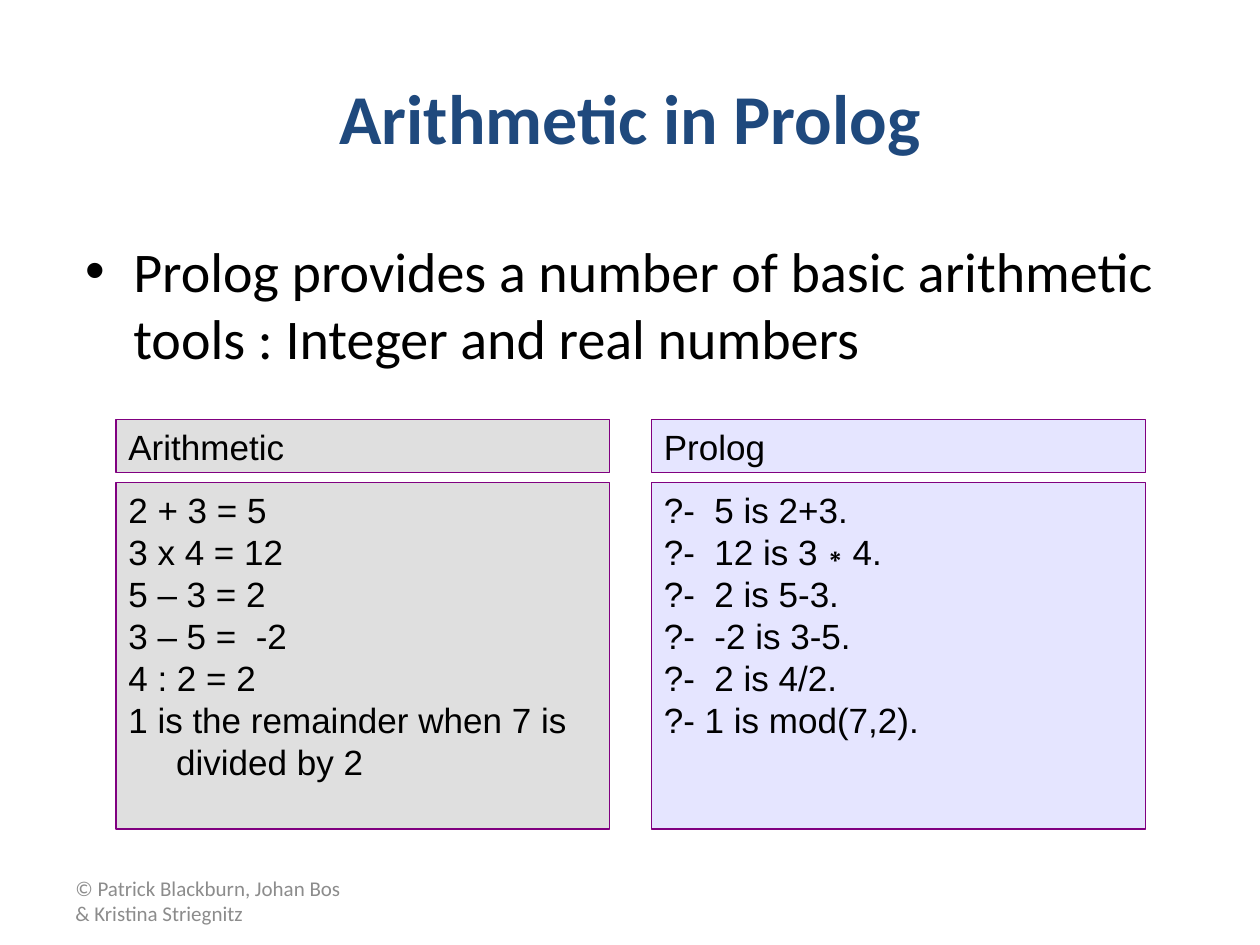
from pptx import Presentation
from pptx.dml.color import RGBColor
from pptx.enum.shapes import MSO_SHAPE as Shape
from pptx.enum.text import MSO_ANCHOR as Anchor, PP_ALIGN as Align
from pptx.oxml.ns import qn
from pptx.util import Inches, Pt
from lxml import etree

# Content
TITLE = "Arithmetic in Prolog"
BULLET = "Prolog provides a number of basic arithmetic tools : Integer and real numbers"
CREDIT = "© Patrick Blackburn, Johan Bos & Kristina Striegnitz"
COLUMNS = [
    ("Arithmetic", "C0C0C0", [
        "2 + 3 = 5",
        "3 x 4 = 12",
        "5 – 3 = 2",
        "3 – 5 =  -2",
        "4 : 2 = 2",
        "1 is the remainder when 7 is divided by 2",
    ]),
    ("Prolog", "CCCCFF", [
        "?-  5 is 2+3.",
        "?-  12 is 3∗4.",
        "?-  2 is 5-3.",
        "?-  -2 is 3-5.",
        "?-  2 is 4/2.",
        "?- 1 is mod(7,2).",
    ]),
]

# Layout in inches
COLUMN_LEFT, COLUMN_WIDTH, COLUMN_GAP = 0.92, 3.92, 0.33
HEADER_TOP, HEADER_HEIGHT = 3.33, 0.42
BODY_TOP, BODY_HEIGHT = 3.83, 2.75
INDENT = 0.38


def color(hex_string):
    return RGBColor.from_string(hex_string)


def add_run(paragraph, text, size, font, hex_string, bold=False):
    run = paragraph.add_run()
    run.text = text
    run.font.size = Pt(size)
    run.font.name = font
    run.font.bold = bold
    run.font.color.rgb = color(hex_string)


def hang(paragraph):
    properties = paragraph._p.get_or_add_pPr()
    properties.set("marL", str(Inches(INDENT)))
    properties.set("indent", str(Inches(-INDENT)))
    return properties


def add_text_box(slide, left, top, width, height, anchor):
    box = slide.shapes.add_textbox(Inches(left), Inches(top), Inches(width), Inches(height))
    box.text_frame.word_wrap = True
    box.text_frame.vertical_anchor = anchor
    return box.text_frame.paragraphs[0]


def add_panel(slide, left, top, height, fill, lines):
    panel = slide.shapes.add_shape(
        Shape.RECTANGLE, Inches(left), Inches(top), Inches(COLUMN_WIDTH), Inches(height))
    panel.shadow.inherit = False
    panel.fill.solid()
    panel.fill.fore_color.rgb = color(fill)
    fill_color = panel.fill._xPr.find(qn("a:solidFill"))[0]
    etree.SubElement(fill_color, qn("a:alpha")).set("val", "50000")
    panel.line.color.rgb = color("800080")
    panel.line.width = Pt(0.75)
    frame = panel.text_frame
    frame.word_wrap = True
    frame.vertical_anchor = Anchor.TOP
    for index, line in enumerate(lines):
        paragraph = frame.add_paragraph() if index else frame.paragraphs[0]
        paragraph.alignment = Align.LEFT
        hang(paragraph)
        add_run(paragraph, line, 20, "Arial", "000000")


presentation = Presentation()
presentation.slide_width, presentation.slide_height = Inches(10), Inches(7.5)
slide = presentation.slides.add_slide(presentation.slide_layouts[5])

# Title
title = slide.shapes.title
title.left, title.top, title.width, title.height = map(Inches, (0.5, 0.3, 9, 1.25))
title.text_frame.vertical_anchor = Anchor.MIDDLE
title_paragraph = title.text_frame.paragraphs[0]
title_paragraph.alignment = Align.CENTER
add_run(title_paragraph, TITLE, 40, "Calibri", "1F497D", bold=True)

# Bullet
bullet = add_text_box(slide, 0.58, 1.83, 9, 1.5, Anchor.TOP)
bullet_properties = hang(bullet)
etree.SubElement(bullet_properties, qn("a:buFont")).set("typeface", "Arial")
etree.SubElement(bullet_properties, qn("a:buChar")).set("char", "•")
add_run(bullet, BULLET, 32, "Calibri", "000000")

# Two columns, each a header above its examples
for index, (heading, fill, lines) in enumerate(COLUMNS):
    left = COLUMN_LEFT + index * (COLUMN_WIDTH + COLUMN_GAP)
    add_panel(slide, left, BODY_TOP, BODY_HEIGHT, fill, lines)
    add_panel(slide, left, HEADER_TOP, HEADER_HEIGHT, fill, [heading])

# Credit line
credit = add_text_box(slide, 0.5, 6.95, 2.33, 0.4, Anchor.MIDDLE)
add_run(credit, CREDIT, 12, "Calibri", "8C8C8C")

presentation.save("out.pptx")
